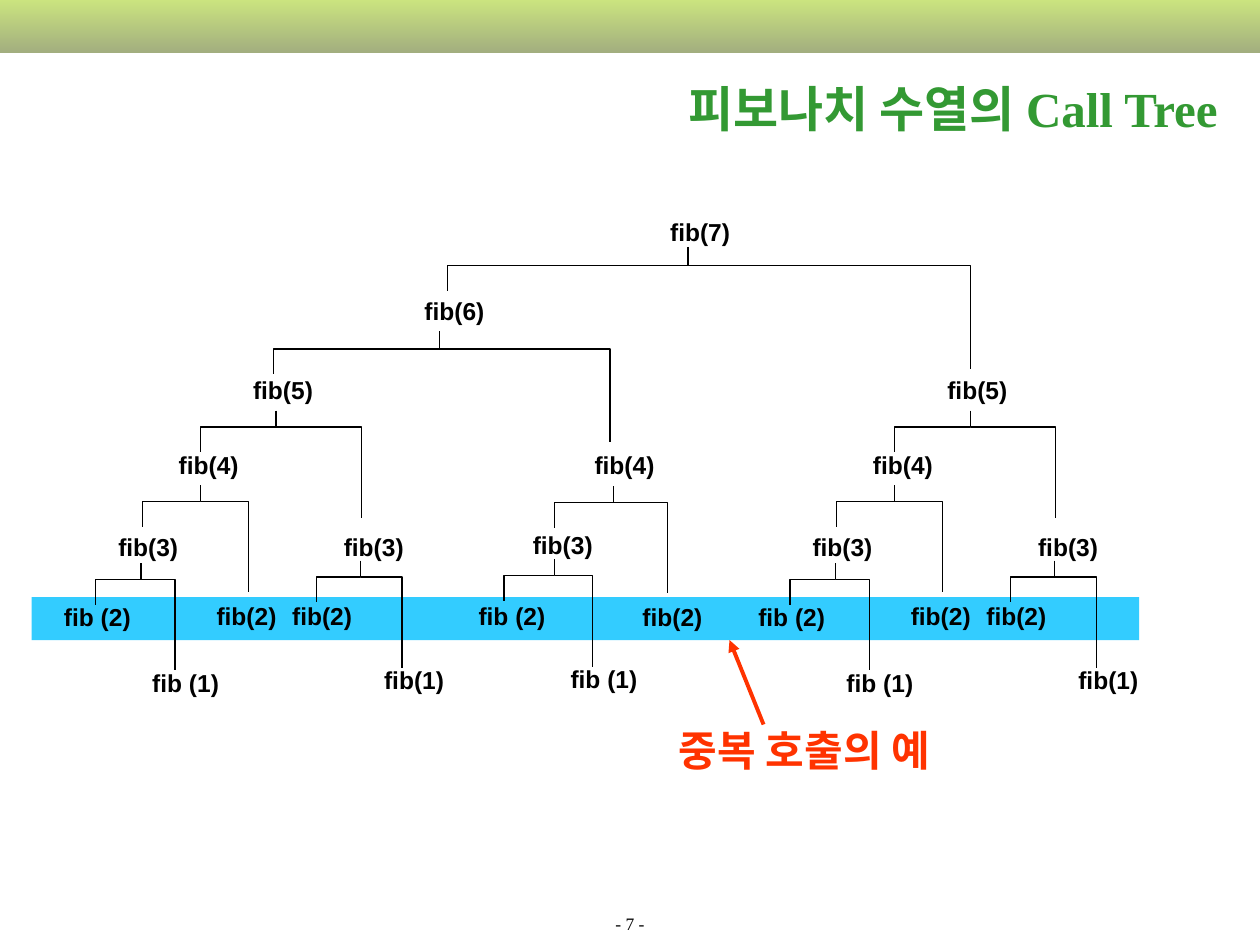
from dataclasses import dataclass

from lxml import etree
from pptx import Presentation
from pptx import util as u
from pptx.dml.color import RGBColor
from pptx.enum import shapes, text
from pptx.oxml import ns

HUES = {"black": "000000", "band": "33CCFF", "note": "FF3300",
        "title": "339933", "lime": "99CC00", "moss": "475E00"}
KOREAN = "Noto Sans CJK KR"
ROMAN = "Times New Roman"
LABEL = {"size": u.Pt(14), "bold": True, "name": "Arial"}


@dataclass
class Call:
    arg: int
    x: float
    y: float
    gap: str = ""


@dataclass
class Fork:
    x: float
    y: float
    left: float
    right: float
    stem: float = 0.13
    drop: float = 0.85


BRANCH = [
    Call(5, 1.91, 2.93), Call(4, 1.32, 3.52), Call(3, 0.84, 4.17),
    Call(3, 2.63, 4.17), Call(2, 0.41, 4.73, " "), Call(2, 1.62, 4.72),
    Call(2, 2.22, 4.72), Call(1, 1.11, 5.25, " "), Call(1, 2.95, 5.23),
]
TWIGS = [
    Fork(2.19, 3.26, 1.59, 2.87), Fork(1.59, 3.85, 1.13, 1.97),
    Fork(2.86, 4.45, 2.51, 3.19), Fork(1.12, 4.47, 0.76, 1.39),
]
CALLS = [
    Call(7, 5.22, 1.67), Call(6, 3.27, 2.3), Call(4, 4.62, 3.52),
    Call(3, 4.13, 4.16), Call(2, 3.7, 4.72, " "), Call(2, 5, 4.73),
    Call(1, 4.43, 5.22, " "),
]
FORKS = [
    Fork(5.46, 1.96, 3.55, 7.7, 0.15, 0.97),
    Fork(3.49, 2.63, 2.17, 4.84, 0.14, 0.88),
    Fork(4.87, 3.86, 4.4, 5.3), Fork(4.4, 4.44, 4, 4.7),
]
SHIFTS = [0, 5.51]


def rgb(hue: str) -> RGBColor:
    return RGBColor.from_string(HUES[hue])


def put(item, vals: dict) -> None:
    for key, val in vals.items():
        setattr(item, key, val)


def place(shape, x: float, y: float, w: float, h: float) -> None:
    put(shape, dict(zip(("left", "top", "width", "height"),
                        map(u.Inches, (x, y, w, h)))))


def write(para, words: str, hue: str, style: dict) -> None:
    run = para.add_run()
    run.text = words
    put(run.font, style)
    run.font.color.rgb = rgb(hue)
    east = etree.SubElement(run.font._element, ns.qn("a:ea"))
    east.set("typeface", style["name"])


def add_text(slide, x: float, y: float, w: float, h: float,
             words: str, hue: str, style: dict):
    box = slide.shapes.add_textbox(*map(u.Inches, (x, y, w, h)))
    put(box.text_frame, {"word_wrap": False,
                         "auto_size": text.MSO_AUTO_SIZE.SHAPE_TO_FIT_TEXT})
    write(box.text_frame.paragraphs[0], words, hue, style)
    return box


def add_rect(slide, x: float, y: float, w: float, h: float):
    rect = slide.shapes.add_shape(shapes.MSO_SHAPE.RECTANGLE,
                                  *map(u.Inches, (x, y, w, h)))
    rect.shadow.inherit = False
    rect.line.fill.background()
    return rect


def add_call(slide, call: Call, dx: float = 0) -> None:
    add_text(slide, call.x + dx, call.y, 0.74 if call.gap else 0.68, 0.34,
             f"fib{call.gap}({call.arg})", "black", LABEL)


def add_path(slide, pts: list) -> None:
    spots = [(u.Inches(x), u.Inches(y)) for x, y in pts]
    pen = slide.shapes.build_freeform(*spots[0])
    pen.add_line_segments(spots[1:], close=False)
    path = pen.convert_to_shape()
    path.shadow.inherit = False
    path.fill.background()
    path.line.color.rgb = rgb("black")
    path.line.width = u.Pt(0.75)


def add_fork(slide, fork: Fork, dx: float = 0) -> None:
    x, left, right = fork.x + dx, fork.left + dx, fork.right + dx
    top, bar = fork.y, fork.y + fork.stem
    add_path(slide, [(x, top), (x, bar), (right, bar), (right, top + fork.drop)])
    add_path(slide, [(x, bar), (left, bar), (left, bar + 0.2)])


def add_arrow(slide, x: float, y: float, to_x: float, to_y: float) -> None:
    arrow = slide.shapes.add_connector(shapes.MSO_CONNECTOR.STRAIGHT,
                                       *map(u.Inches, (x, y, to_x, to_y)))
    arrow.line.color.rgb = rgb("note")
    arrow.line.width = u.Pt(2.25)
    tip = etree.SubElement(arrow.line._get_or_add_ln(), ns.qn("a:tailEnd"))
    tip.set("type", "triangle")
    etree.SubElement(arrow._element.spPr, ns.qn("a:effectLst"))


def add_head(slide) -> None:
    strip = add_rect(slide, 0, 0, 10, 0.42)
    strip.fill.gradient()
    strip.fill.gradient_angle = 270
    for stop, hue in zip(strip.fill.gradient_stops, ("lime", "moss")):
        stop.color.rgb = rgb(hue)
    for tint in strip._element.spPr.iter(ns.qn("a:srgbClr")):
        etree.SubElement(tint, ns.qn("a:alpha")).set("val", "50000")

    title = slide.shapes.title
    place(title, 5.13, 0.41, 4.87, 0.9)
    put(title.text_frame, {"vertical_anchor": text.MSO_ANCHOR.MIDDLE,
                           "word_wrap": True,
                           "auto_size": text.MSO_AUTO_SIZE.NONE})
    para = title.text_frame.paragraphs[0]
    para.alignment = text.PP_ALIGN.CENTER
    for words, face in (("피보나치 수열의 ", KOREAN), ("Call Tree", ROMAN)):
        write(para, words, "title", {"size": u.Pt(28), "bold": True, "name": face})


def add_foot(slide) -> None:
    foot = add_text(slide, 0, 7.24, 10, 0.22, "- 7 -", "black",
                    {"size": u.Pt(10), "name": ROMAN})
    put(foot.text_frame, {"word_wrap": True,
                          "auto_size": text.MSO_AUTO_SIZE.NONE,
                          "vertical_anchor": text.MSO_ANCHOR.BOTTOM})
    foot.text_frame.paragraphs[0].alignment = text.PP_ALIGN.CENTER


def add_tree(slide) -> None:
    for call in CALLS:
        add_call(slide, call)
    for fork in FORKS:
        add_fork(slide, fork)
    for dx in SHIFTS:
        for call in BRANCH:
            add_call(slide, call, dx)
        for fork in TWIGS:
            add_fork(slide, fork, dx)


def main() -> None:
    deck = Presentation()
    put(deck, {"slide_width": u.Inches(10), "slide_height": u.Inches(7.5)})
    slide = deck.slides.add_slide(deck.slide_layouts[5])
    add_head(slide)
    add_foot(slide)
    band = add_rect(slide, 0.25, 4.74, 8.79, 0.34)
    band.fill.solid()
    band.fill.fore_color.rgb = rgb("band")
    add_tree(slide)
    add_text(slide, 5.29, 5.7, 2.31, 0.5, "중복 호출의 예", "note",
             {"size": u.Pt(24), "bold": True, "name": KOREAN})
    add_arrow(slide, 6.06, 5.75, 5.79, 5.08)
    deck.save("out.pptx")


if __name__ == "__main__":
    main()
